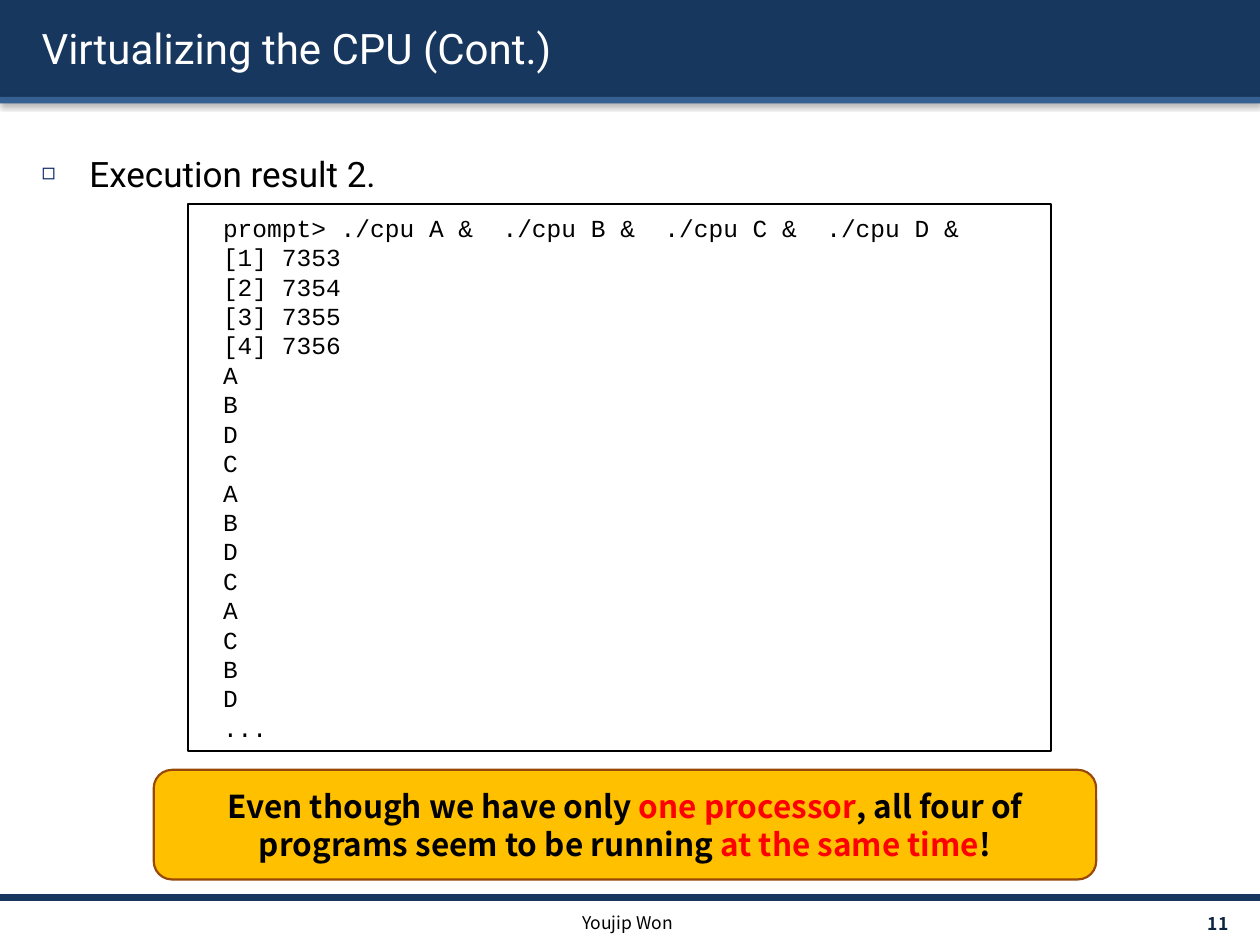
from dataclasses import dataclass

from pptx import Presentation
from pptx import util as u
from pptx.dml.color import RGBColor
from pptx.enum import shapes, text
from pptx.oxml import parse_xml
from pptx.oxml.ns import nsdecls

LEFT, MID, RIGHT = text.PP_ALIGN.LEFT, text.PP_ALIGN.CENTER, text.PP_ALIGN.RIGHT


@dataclass(frozen=True)
class Theme:
    navy: str = "17375E"
    blue: str = "376092"
    mark: str = "002060"
    ink: str = "000000"
    paper: str = "FFFFFF"
    gold: str = "FFC000"
    brown: str = "984807"
    red: str = "FF0000"
    page: str = "0F243E"
    head: str = "Roboto"
    sans: str = "Noto Sans CJK KR"
    mono: str = "Courier New"
    big: int = 24
    item: int = 20
    note: int = 18
    code: int = 14
    small: int = 10


def xml(tag, attrs="", inner=""):
    return parse_xml(f'<a:{tag} {nsdecls("a")} {attrs}>{inner}</a:{tag}>')


def shade(blur, dist, turn, alpha):
    """Effect list with one black outer shadow, in points and degrees."""
    return xml("effectLst", inner=(
        f'<a:outerShdw blurRad="{u.Pt(blur)}" dist="{u.Pt(dist)}" '
        f'dir="{turn * 60000}" algn="t" rotWithShape="0"><a:srgbClr val="000000">'
        f'<a:alpha val="{alpha * 1000}"/></a:srgbClr></a:outerShdw>'))


class Deck:
    """Style and current slide; lengths are percent of the slide's size."""

    def __init__(self, theme):
        self.theme = theme
        self.prs = Presentation()
        self.prs.slide_width, self.prs.slide_height = u.Inches(10), u.Inches(7.5)
        self.slide = self.prs.slides.add_slide(self.prs.slide_layouts[1])

    def area(self, x, y, w, h):
        wide, high = self.prs.slide_width, self.prs.slide_height
        return [u.Emu(round(side * part / 100))
                for side, part in ((wide, x), (high, y), (wide, w), (high, h))]

    def place(self, shape, box):
        shape.left, shape.top, shape.width, shape.height = self.area(*box)

    def fill_in(self, para, runs, size, face, bold=False, align=LEFT):
        para.alignment = align
        for words, color in runs:
            run = para.add_run()
            run.text = words
            font = run.font
            font.name, font.size, font.bold = face, u.Pt(size), bold
            font.color.rgb = RGBColor.from_string(color)

    def frame(self, shape, left=0.1, right=0.1, anchor=text.MSO_ANCHOR.MIDDLE):
        frame = shape.text_frame
        frame.word_wrap = True
        frame.auto_size = text.MSO_AUTO_SIZE.NONE
        frame.vertical_anchor = anchor
        frame.margin_left, frame.margin_right = u.Inches(left), u.Inches(right)
        return frame

    def block(self, box, fill, edge=None, width=1, curved=False):
        kind = shapes.MSO_SHAPE
        shape = self.slide.shapes.add_shape(
            kind.ROUNDED_RECTANGLE if curved else kind.RECTANGLE, *self.area(*box))
        shape.shadow.inherit = False
        shape.fill.solid()
        shape.fill.fore_color.rgb = RGBColor.from_string(fill)
        if edge:
            shape.line.color.rgb = RGBColor.from_string(edge)
            shape.line.width = u.Pt(width)
        else:
            shape.line.fill.background()
        return shape

    def band(self, y, h, fill, depth):
        shape = self.block((0, y, 100, h), fill)
        props = shape.element.spPr
        props.remove(props.effectLst)
        props.append(shade(3.1, 1.6, 90, 38))
        self.slide.shapes.element.insert(depth, shape.element)

    def rule(self, y):
        x, top, wide, _ = self.area(0, y, 100, 0)
        line = self.slide.shapes.add_connector(
            shapes.MSO_CONNECTOR.STRAIGHT, x, top, wide, top)
        line.line.color.rgb = RGBColor.from_string(self.theme.navy)
        line.line.width = u.Pt(2)
        line.element.spPr.append(xml("effectLst"))

    def title(self, box, words):
        shape = self.slide.shapes.title
        self.place(shape, box)
        para = self.frame(shape).paragraphs[0]
        self.fill_in(para, [(words, self.theme.paper)], self.theme.big, self.theme.head)
        props = para.runs[0]._r.get_or_add_rPr()
        props.find(".//{*}solidFill").addnext(shade(2, 2, 45, 100))

    def bullet(self, box, words):
        t = self.theme
        shape = self.slide.placeholders[1]
        self.place(shape, box)
        para = self.frame(shape, anchor=text.MSO_ANCHOR.TOP).paragraphs[0]
        props = para._p.get_or_add_pPr()
        props.set("marL", str(u.Inches(0.38)))
        props.set("indent", str(-u.Inches(0.38)))
        props.append(xml("buClr", inner=f'<a:srgbClr val="{t.mark}"/>'))
        props.append(xml("buSzPct", 'val="65000"'))
        props.append(xml("buChar", 'char="◻"'))
        para.line_spacing, para.space_before = 1.5, u.Pt(0)
        self.fill_in(para, [(words, t.ink)], t.item, t.head)

    def label(self, box, words, color, align, bold=False, right=0.1):
        shape = self.slide.shapes.add_textbox(*self.area(*box))
        para = self.frame(shape, right=right).paragraphs[0]
        self.fill_in(para, [(words, color)], self.theme.small, self.theme.sans, bold, align)

    def code(self, box, lines):
        t = self.theme
        frame = self.frame(self.block(box, t.paper, t.ink), left=0.28)
        for i, words in enumerate(lines):
            para = frame.add_paragraph() if i else frame.paragraphs[0]
            para.line_spacing = u.Pt(16.8)
            self.fill_in(para, [(words, t.ink)], t.code, t.mono)

    def note(self, box, runs):
        t = self.theme
        shape = self.block(box, t.gold, t.brown, 1.25, curved=True)
        para = self.frame(shape, 0.12, 0.12).paragraphs[0]
        para.line_spacing = u.Pt(22)
        self.fill_in(para, runs, t.note, t.sans, True, MID)


def main():
    t = Theme()
    deck = Deck(t)

    # Header bands, kept behind the title
    deck.band(0, 10.27, t.navy, 2)
    deck.band(10.27, 0.67, t.blue, 3)

    # Title and list
    deck.title((2.3, 0.8, 96.1, 8.53), "Virtualizing the CPU (Cont.)")
    deck.bullet((2.3, 13.2, 96.1, 80.27), "Execution result 2.")

    # Footer
    for y in (95.2, 94.8):
        deck.rule(y)
    deck.label((87.1, 96.13, 11.7, 3.2), "11", t.page, RIGHT, True, 0.13)
    deck.label((33.2, 96, 33.2, 3.2), "Youjip Won", t.ink, MID)

    # Terminal output
    jobs = [f"[{i}] {7352 + i}" for i in range(1, 5)]
    deck.code((14.9, 21.6, 68.5, 57.87), [
        "prompt> ./cpu A &  ./cpu B &  ./cpu C &  ./cpu D &",
        *jobs, *"ABDCABDCACBD", "..."])

    # Takeaway
    deck.note((12.2, 81.47, 74.8, 11.6), [
        ("Even though we have only ", t.ink),
        ("one processor", t.red),
        (", all four of programs seem to be running ", t.ink),
        ("at the same time", t.red),
        ("!", t.ink)])

    deck.prs.save("out.pptx")


if __name__ == "__main__":
    main()
